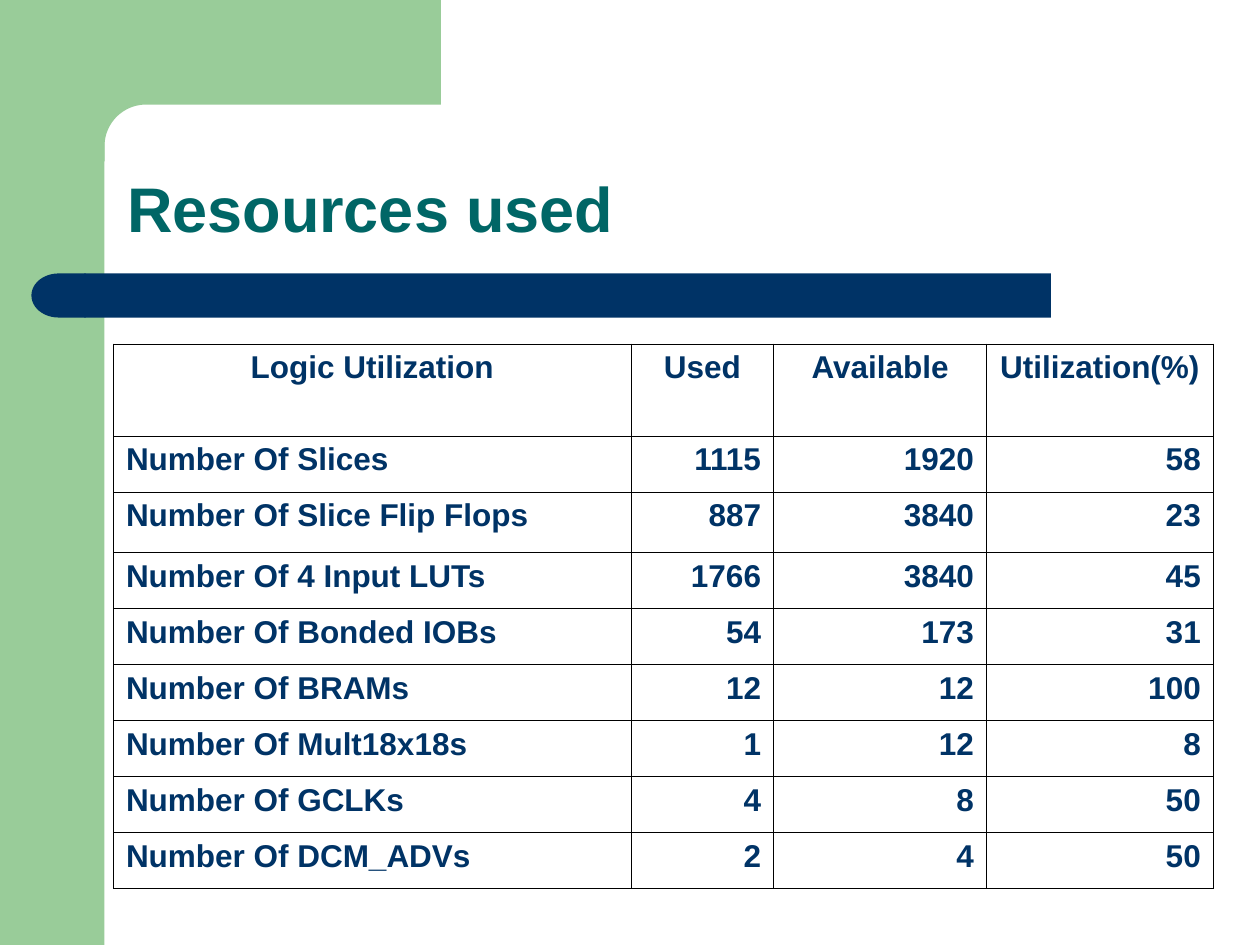
import math
from dataclasses import dataclass

from lxml import etree
from pptx import Presentation
from pptx.dml.color import RGBColor
from pptx.enum import shapes, text
from pptx.oxml import ns
from pptx.util import Inches, Pt

GREEN = RGBColor(0x99, 0xCC, 0x99)
NAVY = RGBColor(0x00, 0x33, 0x66)
TEAL = RGBColor(0x00, 0x66, 0x66)
BLACK = RGBColor(0x00, 0x00, 0x00)
FONT = "Arial"

TABLE_HEIGHT = 4.32
HEADER_HEIGHT = 0.73
FLIP_FLOP_HEIGHT = 0.48
COLUMN_WIDTHS = (4.11, 1.13, 1.69, 1.8)
HEADINGS = ("Logic Utilization", "Used", "Available", "Utilization(%)")


@dataclass(frozen=True)
class Resource:
    name: str
    used: int
    available: int
    percent: int


@dataclass(frozen=True)
class Block:
    kind: shapes.MSO_SHAPE
    left: float
    top: float
    width: float
    height: float
    color: RGBColor
    flipped: bool = False


RESOURCES = (
    Resource("Slices", 1115, 1920, 58),
    Resource("Slice Flip Flops", 887, 3840, 23),
    Resource("4 Input LUTs", 1766, 3840, 45),
    Resource("Bonded IOBs", 54, 173, 31),
    Resource("BRAMs", 12, 12, 100),
    Resource("Mult18x18s", 1, 12, 8),
    Resource("GCLKs", 4, 8, 50),
    Resource("DCM_ADVs", 2, 4, 50),
)
SIDE_BAND = Block(shapes.MSO_SHAPE.RECTANGLE, 0, 0, 0.83, 7.5, GREEN)
TITLE_BAR = Block(shapes.MSO_SHAPE.ROUNDED_RECTANGLE, 0.67, 2.17, 7.67, 0.35, NAVY)
BAR_CAP = Block(shapes.MSO_SHAPE.FLOWCHART_DELAY, 0.25, 2.17, 0.43, 0.35, NAVY, True)


def paint(shape, color: RGBColor) -> None:
    shape.shadow.inherit = False
    shape.fill.solid()
    shape.fill.fore_color.rgb = color
    shape.line.fill.background()


def draw_block(slide, block: Block) -> None:
    shape = slide.shapes.add_shape(
        block.kind, Inches(block.left), Inches(block.top),
        Inches(block.width), Inches(block.height))
    paint(shape, block.color)
    if block.kind == shapes.MSO_SHAPE.ROUNDED_RECTANGLE:
        shape.adjustments[0] = 0
    if block.flipped:
        shape.element.spPr.find(ns.qn("a:xfrm")).set("flipH", "1")


def draw_corner(slide) -> None:
    inner, radius, steps = 0.83, 0.33, 24
    center = inner + radius
    angles = [math.pi / 2 * step / steps for step in range(steps + 1)]
    arc = [(center - radius * math.sin(angle), center - radius * math.cos(angle))
           for angle in angles]
    outline = [(3.5, 0), (3.5, inner), *arc, (inner, 1.28), (0.5, 1.28), (0.5, 0)]
    points = [(Inches(x), Inches(y)) for x, y in outline]
    builder = slide.shapes.build_freeform(*points[0])
    builder.add_line_segments(points[1:], close=True)
    paint(builder.convert_to_shape(), GREEN)


def format_runs(paragraph, size: int, color: RGBColor) -> None:
    for run in paragraph.runs:
        run.font.name = FONT
        run.font.size = Pt(size)
        run.font.bold = True
        run.font.color.rgb = color


def draw_title(slide) -> None:
    box = slide.shapes.add_textbox(Inches(0.91), Inches(0.91), Inches(8.51), Inches(1.09))
    frame = box.text_frame
    frame.word_wrap = True
    frame.vertical_anchor = text.MSO_ANCHOR.BOTTOM
    frame.text = "Resources used"
    paragraph = frame.paragraphs[0]
    paragraph.line_spacing = 0.9
    format_runs(paragraph, 36, TEAL)


def add_borders(cell) -> None:
    properties = cell._tc.get_or_add_tcPr()
    for position, side in enumerate(("lnL", "lnR", "lnT", "lnB")):
        line = etree.Element(ns.qn(f"a:{side}"), w=str(Pt(0.45)))
        fill = etree.SubElement(line, ns.qn("a:solidFill"))
        etree.SubElement(fill, ns.qn("a:srgbClr"), val=str(BLACK))
        properties.insert(position, line)


def fill_cell(cell, value: str, alignment: text.PP_ALIGN) -> None:
    cell.fill.background()
    add_borders(cell)
    cell.text_frame.text = value
    paragraph = cell.text_frame.paragraphs[0]
    paragraph.alignment = alignment
    properties = paragraph._p.get_or_add_pPr()
    properties.set("marL", str(Inches(0.38)))
    properties.set("indent", str(Inches(-0.38)))
    format_runs(paragraph, 18, NAVY)


def draw_table(slide) -> None:
    table = slide.shapes.add_table(
        len(RESOURCES) + 1, len(HEADINGS), Inches(0.9), Inches(2.73),
        Inches(sum(COLUMN_WIDTHS)), Inches(TABLE_HEIGHT)).table
    table.first_row = False
    table.horz_banding = False
    for column, width in zip(table.columns, COLUMN_WIDTHS):
        column.width = Inches(width)
    body_height = (TABLE_HEIGHT - HEADER_HEIGHT - FLIP_FLOP_HEIGHT) / (len(RESOURCES) - 1)
    for row in table.rows:
        row.height = Inches(body_height)
    table.rows[0].height = Inches(HEADER_HEIGHT)
    table.rows[2].height = Inches(FLIP_FLOP_HEIGHT)

    for column, heading in enumerate(HEADINGS):
        fill_cell(table.cell(0, column), heading, text.PP_ALIGN.CENTER)
    for row, resource in enumerate(RESOURCES, start=1):
        fill_cell(table.cell(row, 0), f"Number Of {resource.name}", text.PP_ALIGN.JUSTIFY)
        figures = (resource.used, resource.available, resource.percent)
        for column, figure in enumerate(figures, start=1):
            fill_cell(table.cell(row, column), str(figure), text.PP_ALIGN.RIGHT)


def main() -> None:
    presentation = Presentation()
    presentation.slide_width = Inches(10)
    presentation.slide_height = Inches(7.5)
    slide = presentation.slides.add_slide(presentation.slide_layouts[6])
    draw_block(slide, SIDE_BAND)
    draw_corner(slide)
    draw_block(slide, TITLE_BAR)
    draw_block(slide, BAR_CAP)
    draw_title(slide)
    draw_table(slide)
    presentation.save("out.pptx")


if __name__ == "__main__":
    main()
